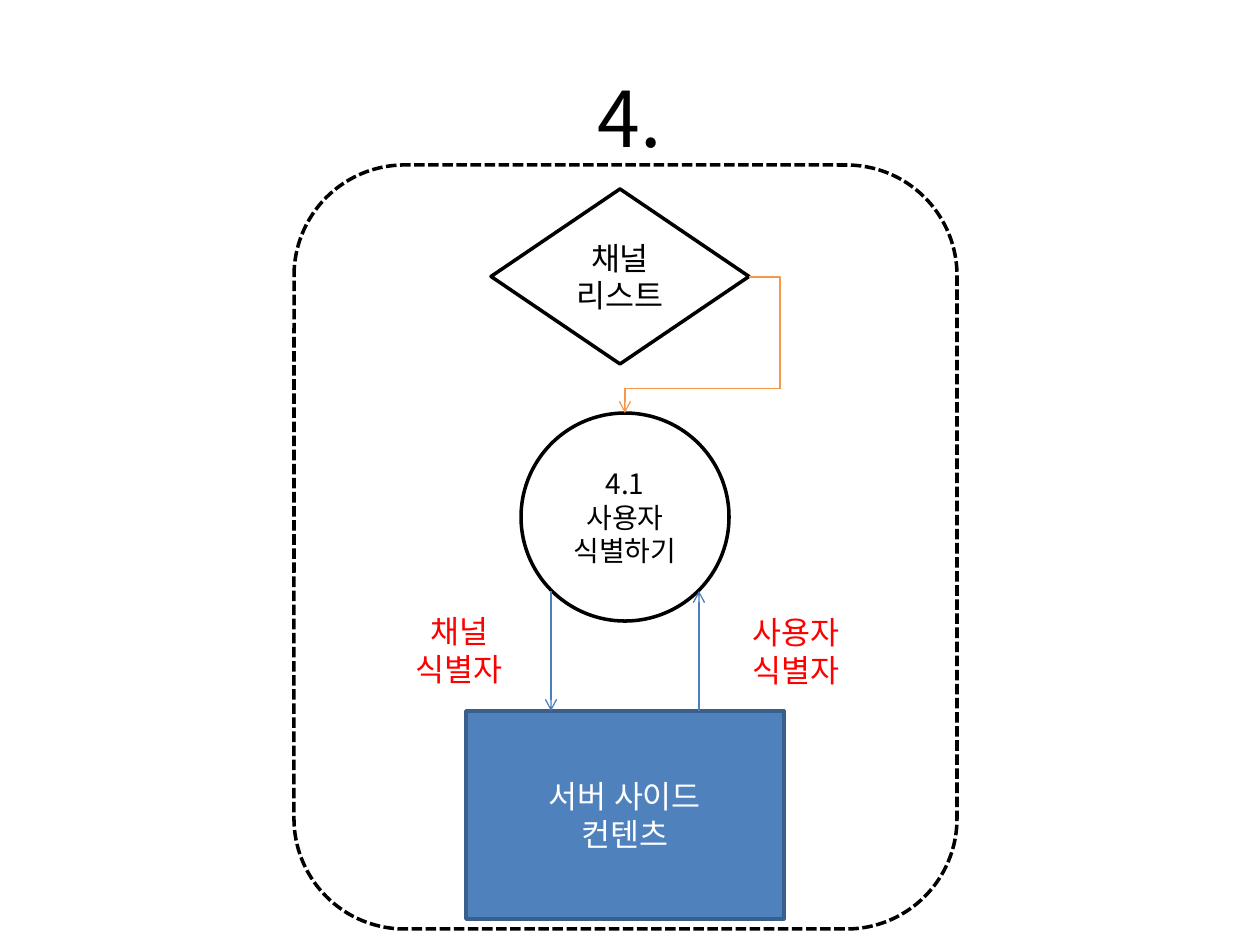
from lxml import etree
from pptx import Presentation
from pptx import util as u
from pptx.dml.color import RGBColor
from pptx.enum import dml, shapes, text
from pptx.oxml.ns import qn

BLACK = RGBColor(0x00, 0x00, 0x00)
WHITE = RGBColor(0xFF, 0xFF, 0xFF)
RED = RGBColor(0xFF, 0x00, 0x00)
BLUE = RGBColor(0x4F, 0x81, 0xBD)
NAVY = RGBColor(0x3A, 0x5F, 0x8C)
STEEL = RGBColor(0x4B, 0x7E, 0xBC)
ORANGE = RGBColor(0xF7, 0x96, 0x46)
SHAPE = shapes.MSO_SHAPE
LINK = shapes.MSO_CONNECTOR


class Flow:
    """Holds the style and the slide being drawn."""

    font = "Noto Sans CJK KR"
    scale = 914400 / 126

    def __init__(self, slide):
        """Keep the slide."""
        self.slide = slide

    def emu(self, *sizes):
        """Turn pixels into EMU."""
        return [u.Emu(round(size * self.scale)) for size in sizes]

    def letter(self, frame, lines, size, color, anchor):
        """Fill a text frame with centred lines."""
        frame.word_wrap = True
        frame.vertical_anchor = anchor
        for i, line in enumerate(lines):
            para = frame.add_paragraph() if i else frame.paragraphs[0]
            para.text = line
            para.alignment = text.PP_ALIGN.CENTER
            para.font.size = u.Pt(size)
            para.font.name = self.font
            para.font.color.rgb = color
            props = para._p.pPr.find(qn("a:defRPr"))
            etree.SubElement(props, qn("a:ea"), typeface=self.font)

    def label(self, box, lines, size=18, color=RED, anchor=text.MSO_ANCHOR.TOP):
        """Add a text box."""
        item = self.slide.shapes.add_textbox(*self.emu(*box))
        self.letter(item.text_frame, lines, size, color, anchor)

    def node(self, kind, box, lines=(), size=18, color=BLACK, fill=WHITE, edge=BLACK):
        """Add an outlined shape with centred text."""
        item = self.slide.shapes.add_shape(kind, *self.emu(*box))
        item.shadow.inherit = False
        if fill is None:
            item.fill.background()
        else:
            item.fill.solid()
            item.fill.fore_color.rgb = fill
        item.line.color.rgb = edge
        item.line.width = u.Pt(2)
        self.letter(item.text_frame, lines, size, color, text.MSO_ANCHOR.MIDDLE)
        return item

    def arrow(self, start, end, color=STEEL, bends=()):
        """Add an arrow, bent at the given fractions if there are any."""
        kind = LINK.ELBOW if bends else LINK.STRAIGHT
        item = self.slide.shapes.add_connector(kind, *self.emu(*start, *end))
        item.line.color.rgb = color
        item.line.width = u.Pt(0.75)
        props = item._element.spPr
        etree.SubElement(props.find(qn("a:ln")), qn("a:tailEnd"), type="arrow")
        etree.SubElement(props, qn("a:effectLst"))
        if bends:
            geom = props.find(qn("a:prstGeom"))
            geom.set("prst", "bentConnector4")
            guides = geom.find(qn("a:avLst"))
            for i, bend in enumerate(bends, 1):
                etree.SubElement(guides, qn("a:gd"), name=f"adj{i}",
                                 fmla=f"val {round(bend * 100000)}")


def main():
    """Build the slide and save it."""
    deck = Presentation()
    deck.slide_width, deck.slide_height = u.Inches(10), u.Inches(7.5)
    flow = Flow(deck.slides.add_slide(deck.slide_layouts[6]))

    flow.label((63, 38, 1134, 158), ["4."], 44, BLACK, text.MSO_ANCHOR.MIDDLE)
    flow.node(SHAPE.FLOWCHART_DECISION, (491, 189, 258, 175), ["채널", "리스트"])
    user = flow.node(SHAPE.OVAL, (521, 413, 208, 208),
                     ["4.1", "사용자", "식별하기"], 16)
    frame = user.text_frame
    frame.margin_left = frame.margin_right = u.Inches(0.04)
    frame.margin_top = frame.margin_bottom = u.Inches(0.04)
    flow.node(SHAPE.RECTANGLE, (466, 711, 318, 208), ["서버 사이드", "컨텐츠"],
              color=WHITE, fill=BLUE, edge=NAVY)

    flow.arrow((749, 277), (625, 413), ORANGE, (-0.25, 0.82))
    flow.label((702, 607, 189, 89), ["사용자", "식별자"])
    flow.label((365, 606, 189, 89), ["채널", "식별자"])
    flow.arrow((699, 711), (699, 591))
    flow.arrow((551, 591), (551, 711))

    group = flow.node(SHAPE.ROUNDED_RECTANGLE, (294, 165, 663, 764), fill=None)
    group.line.dash_style = dml.MSO_LINE.SQUARE_DOT
    deck.save("out.pptx")


main()
